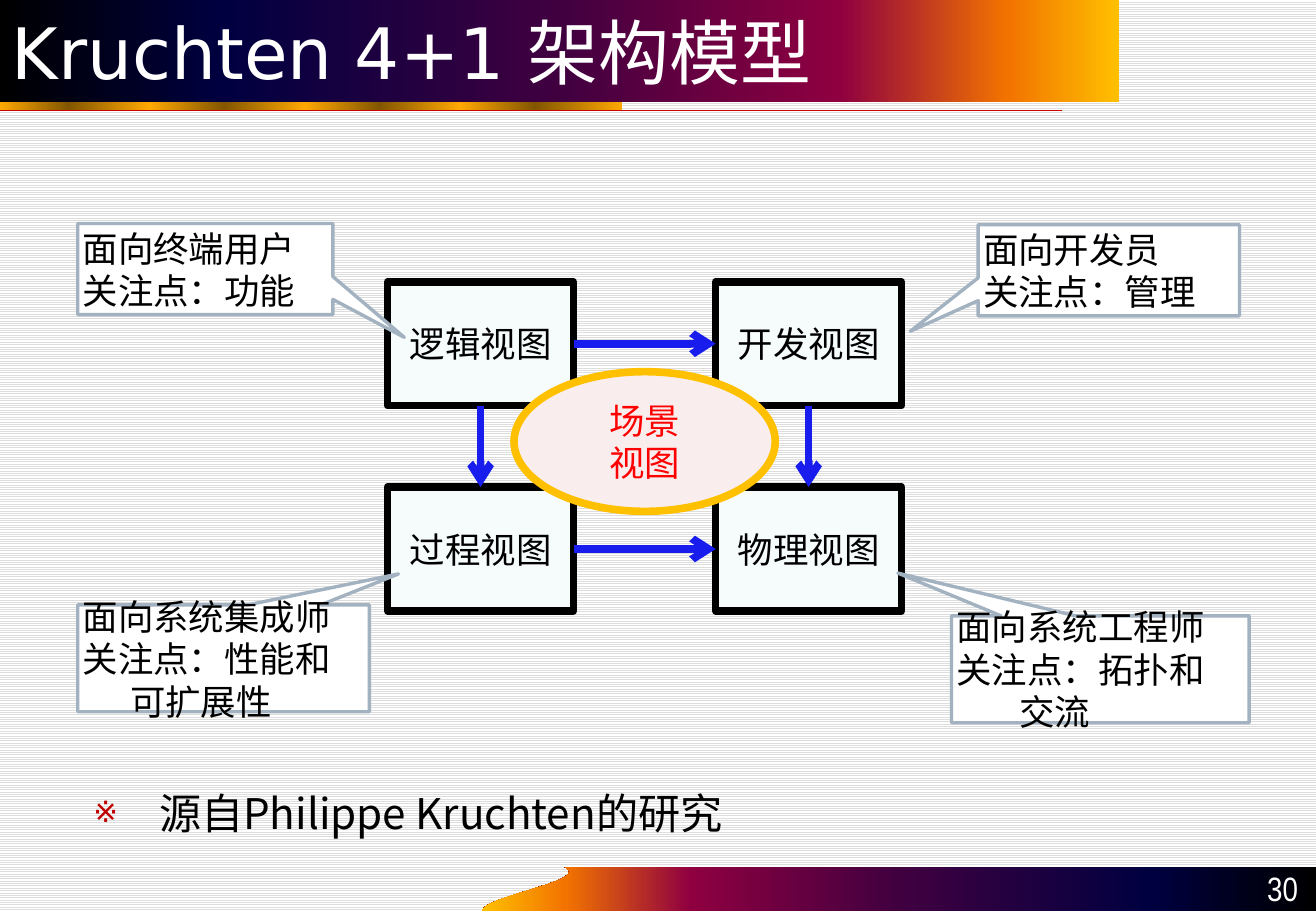
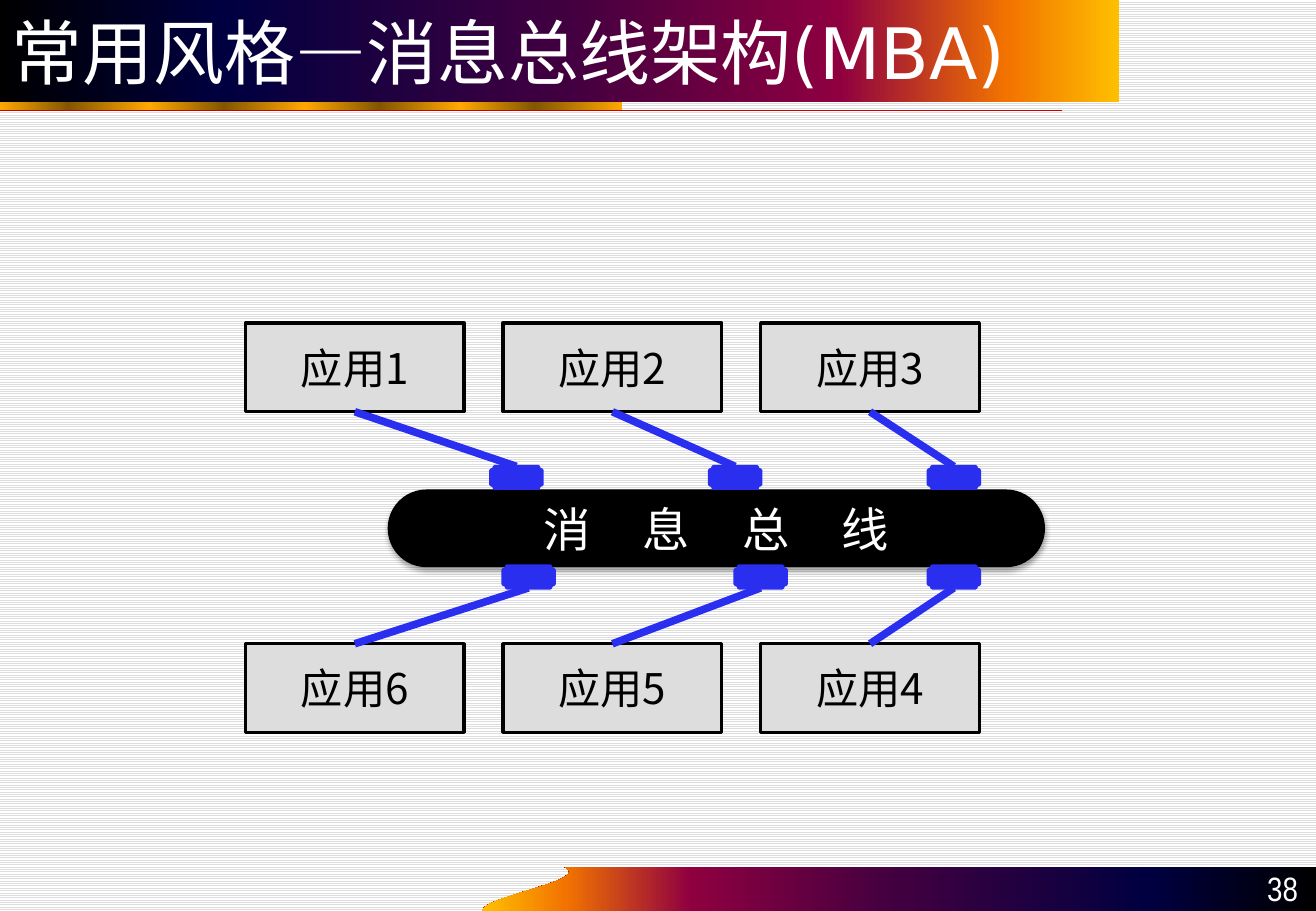
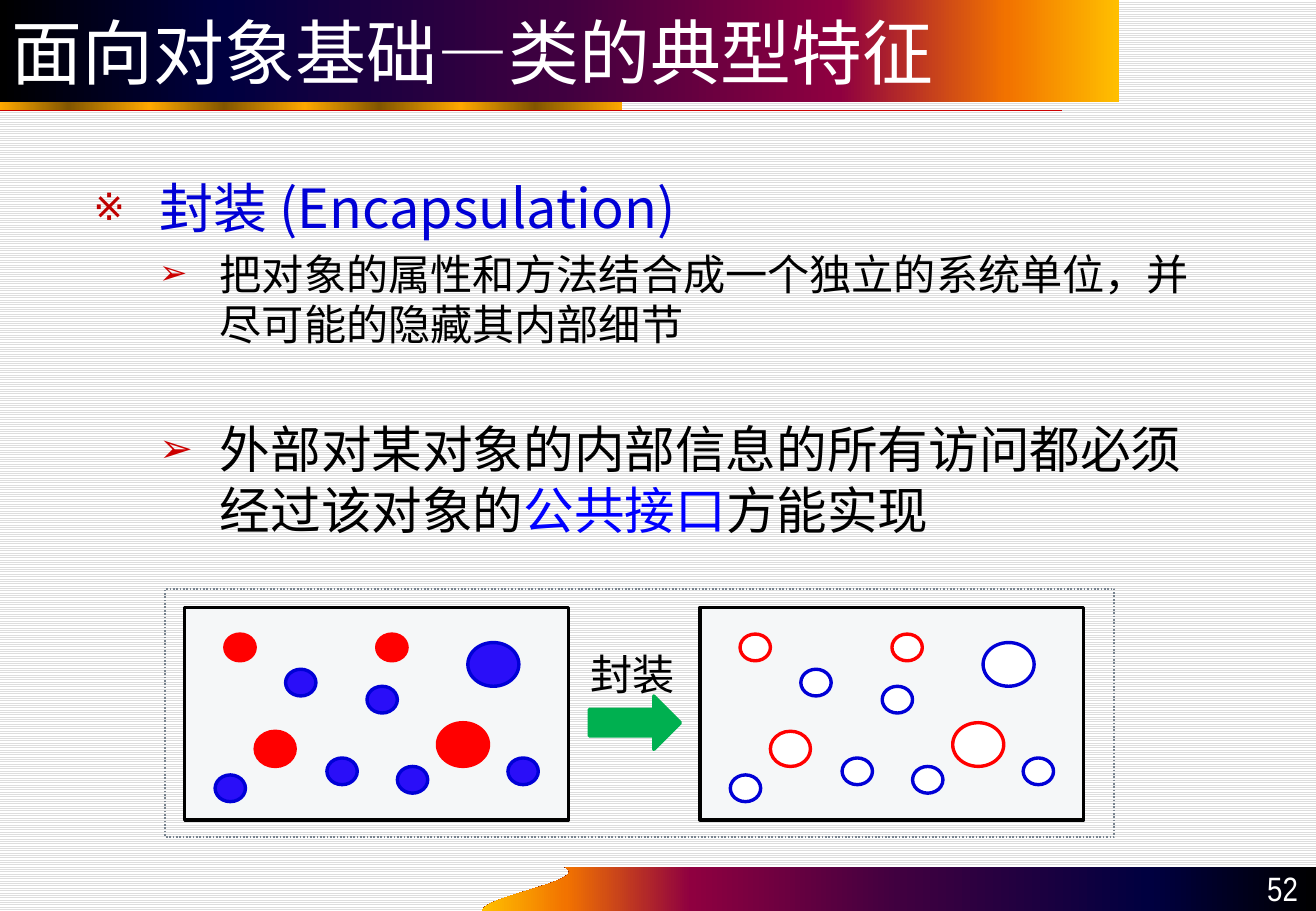
from lxml.etree import SubElement
from pptx import Presentation
from pptx.dml.color import RGBColor
from pptx.enum.dml import MSO_LINE as Dash, MSO_PATTERN as Pattern
from pptx.enum.shapes import MSO_CONNECTOR as Connector, MSO_SHAPE as Shape
from pptx.enum.text import MSO_ANCHOR as Anchor, PP_ALIGN as Align
from pptx.oxml.ns import qn
from pptx.util import Pt

SCALE = 9144
FINE = 10
WIDTH, HEIGHT = 1083, 750
CJK = "Noto Sans CJK SC"
TITLE_FONT = "DejaVu Sans"
NUMBER_FONT = "Arial Narrow"
TOP, LEFT, BOTTOM, RIGHT = range(4)

COLORS = {
    "black": "000000",
    "white": "FFFFFF",
    "stripe": "DDDDDD",
    "rule": "CC0000",
    "bullet": "C00000",
    "view": "F6FBFC",
    "arrow": "181DEE",
    "scene": "F9EEED",
    "gold": "FFC000",
    "red": "FF0000",
    "callout_line": "A3B2C1",
    "bus_link": "292EEF",
    "heading": "0000D6",
    "highlight": "0000FF",
    "panel": "F5F7F8",
    "dot": "2A0EF8",
    "green": "00B050",
    "frame": "79848F",
}
BAND_STOPS = [(0, "000000"), (20, "000040"), (50, "400040"),
              (75, "8F0040"), (90, "F27300"), (100, "FFBF00")]
STRIP_STOPS = [(position, ("FFA800", "825600")[index % 2])
               for index, position in enumerate((0, 11, 24, 36, 49, 61, 74, 86, 100))]

DOTS = [
    (33, 22, 25, 22, "red"), (58, 102, 33, 29, "red"),
    (158, 22, 25, 22, "red"), (208, 95, 42, 36, "red"),
    (83, 51, 25, 22, "heading"), (150, 65, 25, 22, "heading"),
    (233, 29, 42, 36, "heading"), (117, 124, 25, 22, "heading"),
    (175, 131, 25, 22, "heading"), (25, 138, 25, 22, "heading"),
    (266, 124, 25, 22, "heading"),
]


def px(*lengths):
    return [length * SCALE for length in lengths]


def rgb(name):
    return RGBColor.from_string(COLORS[name])


def paint(shape, fill=None, line=None, weight=2):
    shape.shadow.inherit = False
    if fill:
        shape.fill.solid()
        shape.fill.fore_color.rgb = rgb(fill)
    else:
        shape.fill.background()
    if line:
        shape.line.color.rgb = rgb(line)
        shape.line.width = Pt(weight)
    else:
        shape.line.fill.background()


def paint_gradient(shape, stops, angle=0):
    paint(shape)
    properties = shape._element.spPr
    gradient = properties.makeelement(qn("a:gradFill"), {"rotWithShape": "1"})
    properties.replace(properties.find(qn("a:noFill")), gradient)
    stop_list = SubElement(gradient, qn("a:gsLst"))
    for position, color in stops:
        stop = SubElement(stop_list, qn("a:gs"), pos=str(position * 1000))
        SubElement(stop, qn("a:srgbClr"), val=color)
    SubElement(gradient, qn("a:lin"), ang=str(angle * 60000), scaled="0")


def add_box(page, kind, at, fill=None, line=None, weight=2):
    box = page.shapes.add_shape(kind, *px(*at))
    paint(box, fill, line, weight)
    return box


def add_text_box(page, at, wrap=True):
    box = page.shapes.add_textbox(*px(*at))
    box.text_frame.word_wrap = wrap
    return box


def set_margins(box, side, top):
    frame = box.text_frame
    frame.margin_left, frame.margin_right = px(side, side)
    frame.margin_top, frame.margin_bottom = px(top, top)


def style(para, size, color="black", font=CJK, align=Align.LEFT):
    para.alignment = align
    para.font.size = Pt(size)
    para.font.color.rgb = rgb(color)
    para.font.name = font
    defaults = para._p.get_or_add_pPr().find(qn("a:defRPr"))
    SubElement(defaults, qn("a:ea"), typeface=CJK)
    return defaults


def write(box, text, size, anchor=Anchor.MIDDLE, **look):
    box.text_frame.vertical_anchor = anchor
    para = box.text_frame.paragraphs[0]
    para.text = text
    return style(para, size, **look)


def set_indent(para, left, hanging=0):
    properties = para._p.get_or_add_pPr()
    properties.set("marL", str(left * SCALE))
    properties.set("indent", str(-hanging * SCALE))
    return properties


def add_bullet(para, mark, percent, color, left, hanging):
    properties = set_indent(para, left, hanging)
    tint = SubElement(properties, qn("a:buClr"))
    SubElement(tint, qn("a:srgbClr"), val=COLORS[color])
    SubElement(properties, qn("a:buSzPct"), val=str(percent * 1000))
    SubElement(properties, qn("a:buFont"), typeface=TITLE_FONT)
    SubElement(properties, qn("a:buChar"), char=mark)


def add_heading_point(para, text, size, color="black"):
    para.text = text
    add_bullet(para, "※", 70, "bullet", 54, 54)
    style(para, size, color)


def add_sub_point(para, spans, size, before):
    for text, color in spans:
        span = para.add_run()
        span.text = text
        if color:
            span.font.color.rgb = rgb(color)
    add_bullet(para, "➢", 80, "rule", 104, 50)
    para.space_before = Pt(before)
    style(para, size)


def add_line(page, start, end, color, weight):
    line = page.shapes.add_connector(Connector.STRAIGHT, *px(*start, *end))
    line.line.color.rgb = rgb(color)
    line.line.width = Pt(weight)
    SubElement(line._element.spPr, qn("a:effectLst"))
    return line


def add_link(page, start, start_site, end, end_site, color, arrow=False):
    link = add_line(page, (0, 0), (1, 1), color, 4.5)
    link.begin_connect(start, start_site)
    link.end_connect(end, end_site)
    if arrow:
        SubElement(link.line._get_or_add_ln(), qn("a:tailEnd"), type="arrow")


def bezier(points, steps=24):
    for step in range(steps + 1):
        t = step / steps
        weights = ((1 - t) ** 3, 3 * t * (1 - t) ** 2, 3 * t * t * (1 - t), t ** 3)
        yield tuple(sum(w * point[axis] for w, point in zip(weights, points))
                    for axis in range(2))


def add_footer_band(page):
    curve = bezier([(397, HEIGHT), (397, 738), (487, 725), (465, 714)])
    outline = [(x * FINE, y * FINE) for x, y in
               [(465, 714), (WIDTH, 714), (WIDTH, HEIGHT), *curve]]
    builder = page.shapes.build_freeform(*outline[0], scale=SCALE / FINE)
    builder.add_line_segments(outline[1:])
    paint_gradient(builder.convert_to_shape(), BAND_STOPS, 180)


def add_page(deck, title, number):
    page = deck.slides.add_slide(deck.slide_layouts[6])
    add_footer_band(page)
    paint_gradient(add_box(page, Shape.RECTANGLE, (0, 76, 512, 15)), STRIP_STOPS)
    add_line(page, (0, 91), (874, 91), "rule", 1)
    band = add_box(page, Shape.RECTANGLE, (0, 0, 921, 84))
    paint_gradient(band, BAND_STOPS)
    write(band, title, 42, color="white", font=TITLE_FONT)
    write(add_text_box(page, (982, 713, 96, 40)), str(number), 20, Anchor.BOTTOM,
          color="white", font=NUMBER_FONT, align=Align.RIGHT)
    return page


def add_view(page, name, left, top):
    view = add_box(page, Shape.RECTANGLE, (left, top, 153, 102), "view", "black", 4.5)
    set_margins(view, 4, 2)
    write(view, name, 21, align=Align.CENTER)
    return view


def add_callout(page, at, tip, lines, last_indent=0):
    callout = add_box(page, Shape.RECTANGULAR_CALLOUT, at, "white", "callout_line")
    callout.adjustments[0], callout.adjustments[1] = tip
    set_margins(callout, 4, 2)
    frame = callout.text_frame
    frame.vertical_anchor = Anchor.MIDDLE
    frame.text = "\n".join(lines)
    for para in frame.paragraphs:
        style(para, 21)
    set_indent(frame.paragraphs[-1], last_indent)


def build_view_model(deck):
    page = add_page(deck, "Kruchten 4+1 架构模型", 30)
    source = add_text_box(page, (67, 643, 948, 55))
    add_heading_point(source.text_frame.paragraphs[0], "源自Philippe Kruchten的研究", 25)

    logic, development, process, physical = [
        add_view(page, name, 319 + 270 * (index % 2), 232 + 169 * (index // 2))
        for index, name in enumerate(("逻辑视图", "开发视图", "过程视图", "物理视图"))]
    for start, start_site, end, end_site in (
            (logic, RIGHT, development, LEFT), (development, BOTTOM, physical, TOP),
            (process, RIGHT, physical, LEFT), (logic, BOTTOM, process, TOP)):
        add_link(page, start, start_site, end, end_site, "arrow", arrow=True)

    scene = add_box(page, Shape.OVAL, (423, 306, 215, 115), "scene", "gold", 4.5)
    set_margins(scene, 4, 2)
    write(scene, "场景\v视图", 21, color="red", align=Align.CENTER)

    add_callout(page, (64, 184, 210, 75), (0.78, 0.75), ["面向终端用户", "关注点：功能"])
    add_callout(page, (805, 185, 215, 75), (-0.76, 0.67), ["面向开发员", "关注点：管理"])
    add_callout(page, (64, 498, 240, 88), (0.6, -0.79),
                ["面向系统集成师", "关注点：性能和", "可扩展性"], 39)
    add_callout(page, (783, 507, 245, 88), (-0.68, -0.9),
                ["面向系统工程师", "关注点：拓扑和", "交流"], 52)


def add_bus(page):
    bus = add_box(page, Shape.ROUNDED_RECTANGLE, (319, 403, 541, 64), "black")
    bus.adjustments[0] = 0.5
    effects = bus._element.spPr.find(qn("a:effectLst"))
    shadow = SubElement(effects, qn("a:outerShdw"), blurRad=str(Pt(3.1)),
                        dist=str(Pt(1.8)), dir="5400000", rotWithShape="0")
    tint = SubElement(shadow, qn("a:srgbClr"), val=COLORS["black"])
    SubElement(tint, qn("a:alpha"), val="35000")
    defaults = write(bus, "消 息 总 线", 28, color="white", align=Align.CENTER)
    defaults.set("spc", "1240")


def add_app_row(page, numbers, app_top, port_lefts, port_top, app_site, port_site):
    for column, (number, port_left) in enumerate(zip(numbers, port_lefts)):
        app = add_box(page, Shape.RECTANGLE, (202 + 212 * column, app_top, 180, 73),
                      "stripe", "black")
        write(app, f"应用{number}", 25, align=Align.CENTER)
        port = add_box(page, Shape.PLAQUE, (port_left, port_top, 42, 18),
                       "bus_link", "bus_link")
        add_link(page, app, app_site, port, port_site, "bus_link")


def build_message_bus(deck):
    page = add_page(deck, "常用风格—消息总线架构(MBA)", 38)
    add_bus(page)
    add_app_row(page, (1, 2, 3), 266, (404, 584, 764), 384, BOTTOM, TOP)
    add_app_row(page, (6, 5, 4), 530, (414, 605, 764), 466, TOP, BOTTOM)


def add_panel(page, left, hollow):
    top = 500
    add_box(page, Shape.RECTANGLE, (left, top, 316, 175), "panel", "black")
    solid = {"red": "red", "heading": "dot"}
    for x, y, width, height, color in DOTS:
        add_box(page, Shape.OVAL, (left + x, top + y, width, height),
                "white" if hollow else solid[color], color)


def build_encapsulation(deck):
    page = add_page(deck, "面向对象基础—类的典型特征", 52)
    frame = add_text_box(page, (67, 139, 948, 307)).text_frame
    add_heading_point(frame.paragraphs[0], "封装 (Encapsulation)", 32, "heading")
    add_sub_point(frame.add_paragraph(), [
        ("把对象的属性和方法结合成一个独立的系统单位，并尽可能的隐藏其内部细节", None)], 25, 5)
    add_sub_point(frame.add_paragraph(), [
        ("外部对某对象的内部信息的所有访问都必须经过该对象的", None),
        ("公共接口", "highlight"), ("方能实现", None)], 30, 41)

    add_panel(page, 152, hollow=False)
    add_panel(page, 576, hollow=True)
    add_box(page, Shape.RIGHT_ARROW, (485, 573, 75, 44), "green", "green")
    write(add_text_box(page, (476, 529, 91, 53), wrap=False), "封装", 25, Anchor.TOP)
    border = add_box(page, Shape.RECTANGLE, (136, 485, 781, 204), None, "frame", 1)
    border.line.dash_style = Dash.ROUND_DOT


def main():
    deck = Presentation()
    deck.slide_width, deck.slide_height = px(WIDTH, HEIGHT)
    backdrop = deck.slide_master.background.fill
    backdrop.patterned()
    backdrop.pattern = Pattern.LIGHT_HORIZONTAL
    backdrop.fore_color.rgb = rgb("stripe")
    backdrop.back_color.rgb = rgb("white")
    build_view_model(deck)
    build_message_bus(deck)
    build_encapsulation(deck)
    deck.save("out.pptx")


if __name__ == "__main__":
    main()
